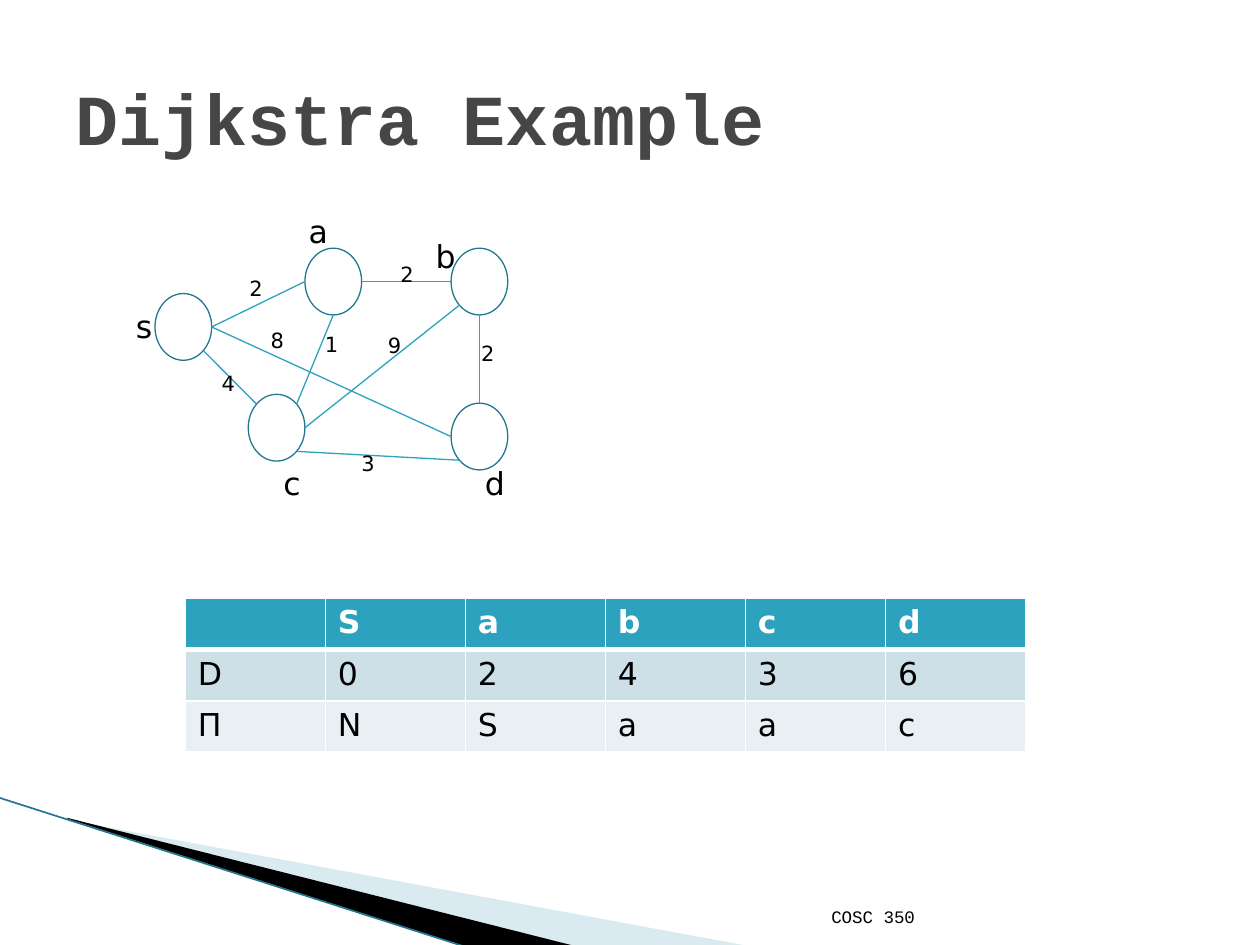
import math
import pptx
import pptx.util
import pptx.dml.color
import pptx.enum.shapes
import pptx.enum.text
import pptx.oxml
import pptx.oxml.ns
import lxml.etree

Inches = pptx.util.Inches
Pt = pptx.util.Pt
qn = pptx.oxml.ns.qn
align = pptx.enum.text.PP_ALIGN
anchor = pptx.enum.text.MSO_ANCHOR
sub = lxml.etree.SubElement

colors = {"teal": "2DA2BF", "edge": "21788D", "pale": "A0CBDC", "black": "000000",
          "title": "464646", "white": "FFFFFF", "odd": "CDE0E8", "even": "E8F0F4"}
rgb = {name: pptx.dml.color.RGBColor.from_string(code) for name, code in colors.items()}
sans, mono = "DejaVu Sans", "Courier New"


def write(frame, text, size, face, color="black", bold=False):
    para = frame.paragraphs[0]
    para.text = text
    font = para.runs[0].font if text else para.font
    style = {"size": Pt(size), "name": face, "bold": bold}
    for key, value in style.items():
        setattr(font, key, value)
    font.color.rgb = rgb[color]
    return para


def link(start, end, color, width):
    ends = [Inches(v) for v in (*start, *end)]
    line = slide.shapes.add_connector(pptx.enum.shapes.MSO_CONNECTOR.STRAIGHT, *ends)
    line.line.color.rgb = rgb[color]
    line.line.width = Pt(width)
    sub(line._element.spPr, qn("a:effectLst"))


deck = pptx.Presentation()
deck.slide_width, deck.slide_height = Inches(10), Inches(7.5)
slide = deck.slides.add_slide(deck.slide_layouts[5])

wedges = [("pale", [(0.55, 6.51), (5.95, 7.51), (4.56, 7.51), (0.55, 6.5)]),
          ("black", [(0.53, 6.49), (4.57, 7.51), (3.72, 7.52), (0.54, 6.5)])]
for color, points in wedges:
    spots = [(Inches(x), Inches(y)) for x, y in points]
    build = slide.shapes.build_freeform(*spots[0])
    build.add_line_segments(spots[1:], close=True)
    wedge = build.convert_to_shape()
    wedge.shadow.inherit = False
    wedge.fill.solid()
    wedge.fill.fore_color.rgb = rgb[color]
    wedge.line.fill.background()
    if color == "pale":
        tint = wedge._element.spPr.find(".//" + qn("a:srgbClr"))
        sub(tint, qn("a:alpha")).set("val", "40000")
link((-0.01, 6.33), (3.71, 7.52), "edge", 0.95)

title = slide.shapes.title
place = {"left": 0.5, "top": 0.3, "width": 9, "height": 1.25}
for key, value in place.items():
    setattr(title, key, Inches(value))
title.text_frame.vertical_anchor = anchor.MIDDLE
write(title.text_frame, "Dijkstra Example", 41, mono, "title", True).alignment = align.LEFT

foot = slide.shapes.add_textbox(Inches(4.79), Inches(7.01), Inches(2.57), Inches(0.4))
foot.text_frame.word_wrap = True
foot.text_frame.vertical_anchor = anchor.BOTTOM
write(foot.text_frame, "COSC 350", 10, mono).alignment = align.RIGHT

wide, high = 0.45, 0.53
nodes = {"s": (1.23, 2.33), "a": (2.42, 1.97), "b": (3.58, 1.97),
         "c": (1.97, 3.13), "d": (3.58, 3.2)}
for left, top in nodes.values():
    oval = slide.shapes.add_shape(pptx.enum.shapes.MSO_SHAPE.OVAL, Inches(left),
                                  Inches(top), Inches(wide), Inches(high))
    oval.shadow.inherit = False
    oval.fill.background()
    oval.line.color.rgb = rgb["edge"]
    oval.line.width = Pt(0.75)

# Each end is a node and the angle, clockwise from its right side.
edges = [("s", 0, "d", 180), ("c", 0, "b", 135), ("a", 90, "c", -45), ("c", 45, "d", 135),
         ("s", 45, "c", 225), ("a", 0, "b", 180), ("b", 90, "d", -90), ("s", 0, "a", 180)]
for first, out, last, back in edges:
    ends = []
    for name, angle in ((first, out), (last, back)):
        left, top = nodes[name]
        turn = math.radians(angle)
        ends.append((left + wide / 2 * (1 + math.cos(turn)),
                     top + high / 2 * (1 + math.sin(turn))))
    link(*ends, "teal", 0.75)

names = [("s", 0.98, 2.39, 0.33), ("a", 2.35, 1.63, 0.35), ("b", 3.36, 1.83, 0.36),
         ("c", 2.15, 3.63, 0.33), ("d", 3.75, 3.63, 0.36)]
costs = [("2", 1.88, 2.14), ("8", 2.05, 2.55), ("2", 3.08, 2.03), ("9", 2.98, 2.59),
         ("2", 3.72, 2.65), ("3", 2.77, 3.53), ("4", 1.66, 2.89), ("1", 2.48, 2.58)]
labels = [(*name, 0.4, 18) for name in names] + [(*cost, 0.31, 0.3, 12) for cost in costs]
for text, left, top, width, height, size in labels:
    box = slide.shapes.add_textbox(Inches(left), Inches(top), Inches(width), Inches(height))
    box.text_frame.word_wrap = False
    box.text_frame.auto_size = pptx.enum.text.MSO_AUTO_SIZE.SHAPE_TO_FIT_TEXT
    write(box.text_frame, text, size, sans)

rows = [["", "S", "a", "b", "c", "d"], ["D", "0", "2", "4", "3", "6"],
        ["Π", "N", "S", "a", "a", "c"]]
table = slide.shapes.add_table(3, 6, Inches(1.47), Inches(4.75),
                               Inches(6.67), Inches(1.22)).table
for r, (row, fill) in enumerate(zip(rows, ("teal", "odd", "even"))):
    for c, text in enumerate(row):
        cell = table.cell(r, c)
        head = r == 0
        write(cell.text_frame, text, 18, sans, "white" if head else "black", head)
        props = cell._tc.get_or_add_tcPr()
        for side in ("L", "R", "T", "B"):
            thick = (head and side == "B") or (r == 1 and side == "T")
            rule = sub(props, qn("a:ln" + side), w=str(Pt(3 if thick else 1)))
            sub(sub(rule, qn("a:solidFill")), qn("a:srgbClr"), val=colors["white"])
        cell.fill.solid()
        cell.fill.fore_color.rgb = rgb[fill]

deck.save("out.pptx")
